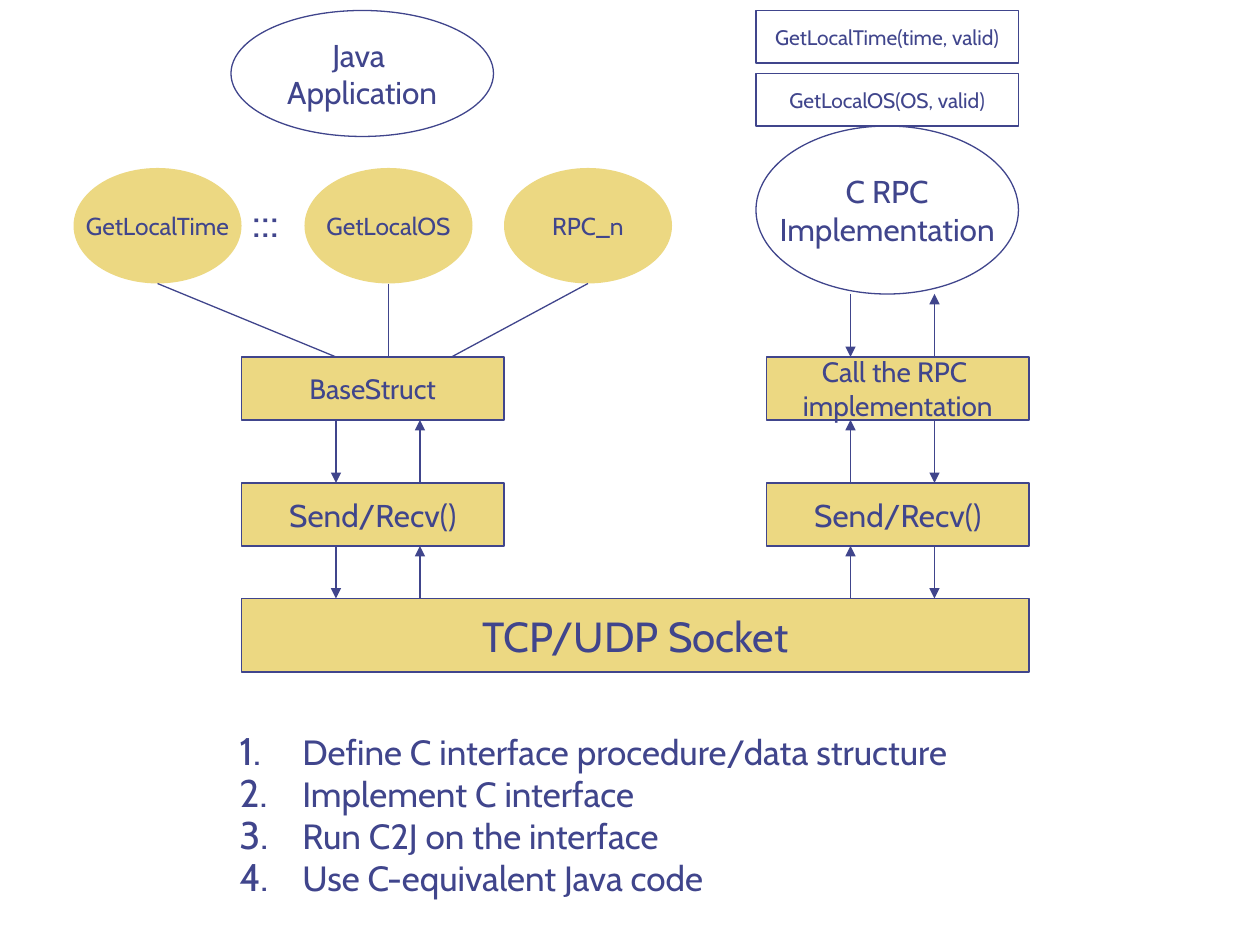
from lxml import etree
from pptx import Presentation, util as u
from pptx.dml.color import RGBColor
from pptx.enum import shapes, text
from pptx.oxml.ns import qn

PX = 9525  # EMU per px, 96 px to the inch
FONT = "Cabin"
COLORS = {"ink": "40458C", "gold": "ECD882", "white": "FFFFFF"}
OVAL, RECT = shapes.MSO_SHAPE.OVAL, shapes.MSO_SHAPE.RECTANGLE

# preset, (left, top, width, height), fill, outlined, size, lines
NODES = [
    (OVAL, (176, 8, 200, 96), "white", True, 18, ["Java ", "Application"]),
    (OVAL, (576, 96, 200, 128), "white", True, 18, ["C RPC", "Implementation"]),
    (RECT, (576, 8, 200, 40), "white", True, 12, ["GetLocalTime(time, valid)"]),
    (RECT, (576, 56, 200, 40), "white", True, 12, ["GetLocalOS(OS, valid)"]),
    (RECT, (184, 272, 200, 48), "gold", True, 16, ["BaseStruct"]),
    (RECT, (584, 272, 200, 48), "gold", True, 16, ["Call the RPC ", "implementation"]),
    (RECT, (184, 368, 200, 48), "gold", True, 18, ["Send/Recv()"]),
    (RECT, (584, 368, 200, 48), "gold", True, 18, ["Send/Recv()"]),
    (RECT, (184, 456, 600, 56), "gold", True, 24, ["TCP/UDP Socket"]),
    (OVAL, (56, 128, 128, 88), "gold", False, 14, ["GetLocalTime"]),
    (OVAL, (232, 128, 128, 88), "gold", False, 14, ["GetLocalOS"]),
    (OVAL, (384, 128, 128, 88), "gold", False, 14, ["RPC_n"]),
]
# RPC oval bottom x, BaseStruct top x
LINKS = [(120, 256), (296, 296), (448, 344)]
# top, bottom, x of the downward arrow, x of the upward arrow
ARROW_PAIRS = [
    (320, 368, 256, 320),
    (416, 456, 256, 320),
    (224, 272, 648, 712),
    (320, 368, 712, 648),
    (416, 456, 712, 648),
]
DOTS = (180, 144, 45, 48)
STEPS_BOX = (173, 552, 616, 138)
STEPS = [
    "Define C interface procedure/data structure",
    "Implement C interface",
    "Run C2J on the interface",
    "Use C-equivalent Java code",
]


def color(name):
    return RGBColor.from_string(COLORS[name])


def emu(lengths):
    return [length * PX for length in lengths]


def number(paragraph):
    """Give the paragraph an automatic number and a hanging indent."""
    properties = paragraph._p.get_or_add_pPr()
    properties.set("marL", str(48 * PX))
    properties.set("indent", str(-48 * PX))
    bullet_color = etree.SubElement(properties, qn("a:buClr"))
    etree.SubElement(bullet_color, qn("a:srgbClr"), val=COLORS["ink"])
    etree.SubElement(properties, qn("a:buSzPct"), val="110000")
    etree.SubElement(properties, qn("a:buFont"), typeface=FONT)
    etree.SubElement(properties, qn("a:buAutoNum"), type="arabicPeriod")


def write(frame, lines, size, numbered=False):
    frame.word_wrap = False
    for index, line in enumerate(lines):
        paragraph = frame.add_paragraph() if index else frame.paragraphs[0]
        paragraph.text = line
        if numbered:
            number(paragraph)
        else:
            paragraph.alignment = text.PP_ALIGN.CENTER
        paragraph.font.name = FONT
        paragraph.font.size = u.Pt(size)
        paragraph.font.color.rgb = color("ink")


def add_node(slide, preset, box, fill, outlined, size, lines):
    shape = slide.shapes.add_shape(preset, *emu(box))
    shape.shadow.inherit = False
    shape.fill.solid()
    shape.fill.fore_color.rgb = color(fill)
    if outlined:
        shape.line.color.rgb = color("ink")
        shape.line.width = u.Pt(0.75)
    else:
        shape.line.fill.background()
    shape.text_frame.vertical_anchor = text.MSO_ANCHOR.MIDDLE
    write(shape.text_frame, lines, size)


def add_line(slide, ends, arrow=False):
    connector = slide.shapes.add_connector(shapes.MSO_CONNECTOR.STRAIGHT, *emu(ends))
    connector.line.color.rgb = color("ink")
    connector.line.width = u.Pt(0.75)
    if arrow:
        etree.SubElement(connector.line._get_or_add_ln(), qn("a:tailEnd"), type="triangle")
    etree.SubElement(connector._element.spPr, qn("a:effectLst"))


def add_text(slide, box, lines, size, numbered=False):
    frame = slide.shapes.add_textbox(*emu(box)).text_frame
    frame.auto_size = text.MSO_AUTO_SIZE.SHAPE_TO_FIT_TEXT
    write(frame, lines, size, numbered)


def main():
    presentation = Presentation()
    presentation.slide_width, presentation.slide_height = emu((960, 720))
    slide = presentation.slides.add_slide(presentation.slide_layouts[6])
    for node in NODES:
        add_node(slide, *node)
    for oval_x, struct_x in LINKS:
        add_line(slide, (oval_x, 216, struct_x, 272))
    for top, bottom, down_x, up_x in ARROW_PAIRS:
        add_line(slide, (down_x, top, down_x, bottom), arrow=True)
        add_line(slide, (up_x, bottom, up_x, top), arrow=True)
    add_text(slide, DOTS, [":::"], 24)
    add_text(slide, STEPS_BOX, STEPS, 20, numbered=True)
    presentation.save("out.pptx")


if __name__ == "__main__":
    main()
